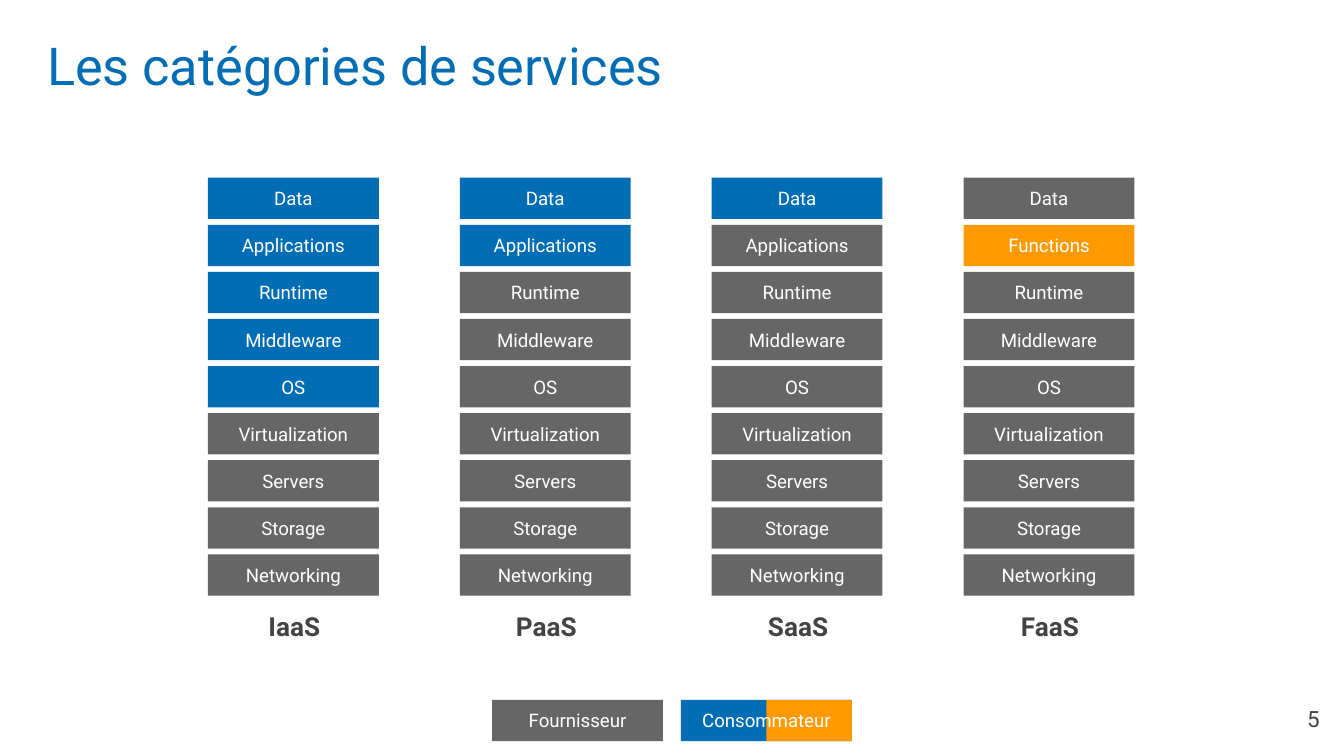
import pptx
import pptx.dml.color
import pptx.enum.shapes
import pptx.enum.text
import pptx.util

Cm = pptx.util.Cm
RGBColor = pptx.dml.color.RGBColor
Align = pptx.enum.text.PP_ALIGN
Anchor = pptx.enum.text.MSO_ANCHOR

BLUE = RGBColor(0x00, 0x6D, 0xB4)
ORANGE = RGBColor(0xFF, 0x99, 0x00)
GRAY = RGBColor(0x66, 0x66, 0x66)
DARK = RGBColor(0x43, 0x43, 0x43)
WHITE = RGBColor(0xFF, 0xFF, 0xFF)

BOX_WIDTH, BOX_HEIGHT = 3.23, 0.78
STACK_LEFT, STACK_TOP = 3.93, 3.36
COLUMN_PITCH, ROW_PITCH = 4.76, 0.89
NAME_TOP, NAME_HEIGHT = 11.48, 0.69
LEGEND_TOP, PROVIDER_LEFT, CONSUMER_LEFT = 13.23, 9.3, 12.87

LAYERS = ["Data", "Applications", "Runtime", "Middleware", "OS",
          "Virtualization", "Servers", "Storage", "Networking"]
SERVICES = [
    ("IaaS", dict.fromkeys(LAYERS[:5], BLUE), {}),
    ("PaaS", dict.fromkeys(LAYERS[:2], BLUE), {}),
    ("SaaS", dict.fromkeys(LAYERS[:1], BLUE), {}),
    ("FaaS", {"Functions": ORANGE}, {"Applications": "Functions"}),
]


class SlideBuilder:
    def __init__(self, slide, font="Roboto", inset=0.25):
        self.slide = slide
        self.font = font
        self.inset = Cm(inset)

    def set_text(self, shape, text, size, color, align, anchor, bold=False):
        frame = shape.text_frame
        frame.word_wrap = True
        frame.vertical_anchor = anchor
        frame.margin_left = frame.margin_right = self.inset
        frame.margin_top = frame.margin_bottom = self.inset
        paragraph = frame.paragraphs[0]
        paragraph.text = text
        paragraph.alignment = align
        paragraph.font.name = self.font
        paragraph.font.size = pptx.util.Pt(size)
        paragraph.font.bold = bold
        paragraph.font.color.rgb = color

    def text(self, text, left, top, width, height, size, color,
             align=Align.CENTER, anchor=Anchor.MIDDLE, bold=False):
        shape = self.slide.shapes.add_textbox(Cm(left), Cm(top), Cm(width), Cm(height))
        self.set_text(shape, text, size, color, align, anchor, bold)

    def box(self, left, top, fill, text="", width=BOX_WIDTH):
        shape = self.slide.shapes.add_shape(
            pptx.enum.shapes.MSO_SHAPE.RECTANGLE,
            Cm(left), Cm(top), Cm(width), Cm(BOX_HEIGHT))
        shape.shadow.inherit = False
        shape.fill.solid()
        shape.fill.fore_color.rgb = fill
        shape.line.fill.background()
        if text:
            self.set_text(shape, text, 10, WHITE, Align.CENTER, Anchor.MIDDLE)

    def stack(self, left, name, consumer_colors, renamed_layers):
        for row, layer in enumerate(LAYERS):
            label = renamed_layers.get(layer, layer)
            self.box(left, STACK_TOP + row * ROW_PITCH,
                     consumer_colors.get(label, GRAY), label)
        self.text(name, left + 0.02, NAME_TOP, BOX_WIDTH, NAME_HEIGHT, 14, DARK, bold=True)

    def legend(self):
        half = BOX_WIDTH / 2
        self.box(PROVIDER_LEFT, LEGEND_TOP, GRAY, "Fournisseur")
        self.box(CONSUMER_LEFT, LEGEND_TOP, BLUE)
        self.box(CONSUMER_LEFT + half, LEGEND_TOP, ORANGE, width=half)
        self.text("Consommateur", CONSUMER_LEFT, LEGEND_TOP,
                  BOX_WIDTH, BOX_HEIGHT, 10, WHITE)


def main():
    presentation = pptx.Presentation()
    presentation.slide_width = Cm(25.4)
    presentation.slide_height = Cm(14.29)
    slide = presentation.slides.add_slide(presentation.slide_layouts[6])
    builder = SlideBuilder(slide)

    builder.text("Les catégories de services", 0.64, 0.38, 24.13, 1.65, 28, BLUE,
                 Align.LEFT, Anchor.TOP)
    builder.text("5", 23.67, 13.08, 1.52, 1.09, 12, DARK, Align.RIGHT, Anchor.TOP)
    for column, service in enumerate(SERVICES):
        builder.stack(STACK_LEFT + column * COLUMN_PITCH, *service)
    builder.legend()

    presentation.save("out.pptx")


if __name__ == "__main__":
    main()
